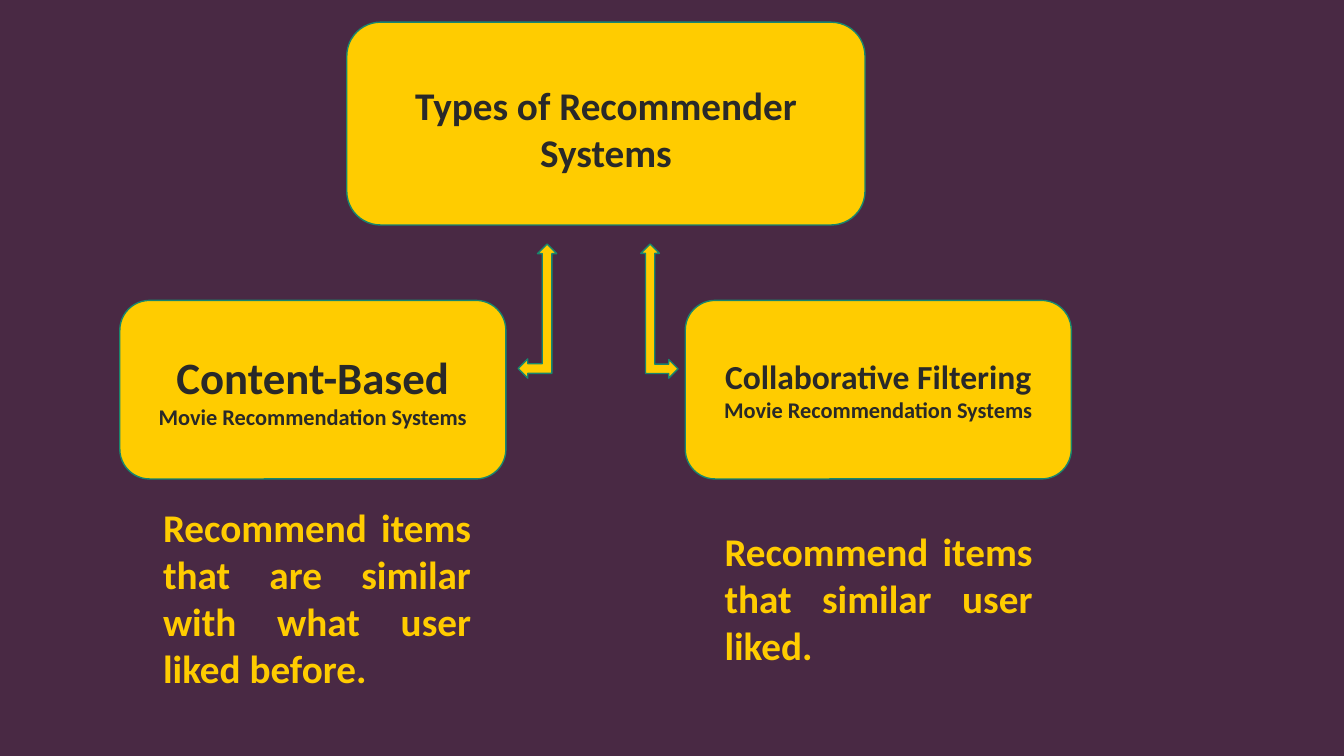
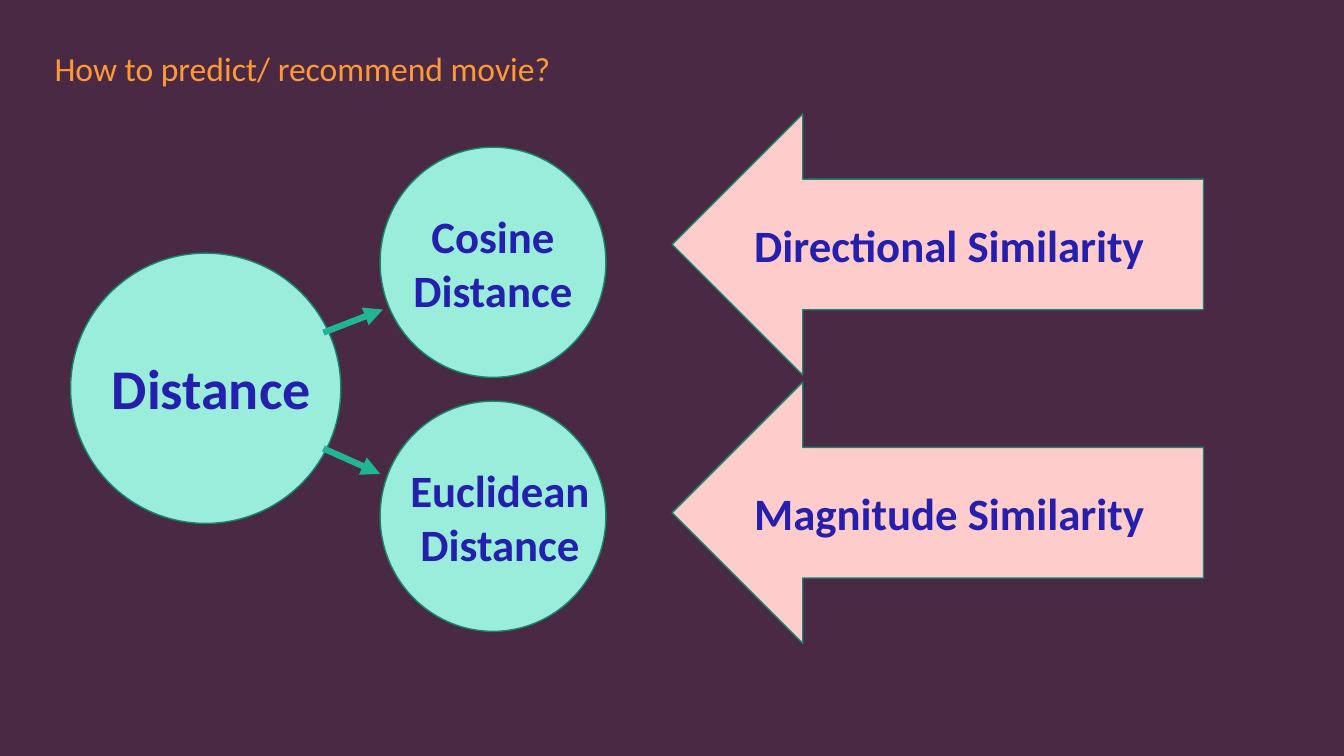
from dataclasses import dataclass

from lxml.etree import SubElement
from pptx import Presentation
from pptx.dml.color import RGBColor
from pptx.enum.shapes import MSO_CONNECTOR as Connector, MSO_SHAPE as Shape
from pptx.enum.text import MSO_ANCHOR as Anchor, MSO_AUTO_SIZE as AutoSize, PP_ALIGN as Align
from pptx.oxml.ns import qn
from pptx.util import Cm, Pt


@dataclass(frozen=True)
class Theme:
    font: str = "Calibri"
    backdrop: str = "492944"
    gold: str = "FFCC00"
    charcoal: str = "292929"
    outline: str = "18866E"
    orange: str = "FF9933"
    mint: str = "9AEDDB"
    pink: str = "FFCCCC"
    indigo: str = "241FAC"
    teal: str = "20B595"
    caption: int = 16
    subhead: int = 24
    body: int = 28
    heading: int = 32
    display: int = 40
    outline_width: float = 1
    pointer_width: float = 4.5


THEME = Theme()
TITLE_ONLY = 5


def rgb(code):
    return RGBColor.from_string(code)


def cm(*lengths):
    return [Cm(length) for length in lengths]


def write(frame, *lines, color, size=THEME.body, bold=True, align=Align.CENTER,
          anchor=Anchor.TOP, fit=AutoSize.NONE):
    frame.word_wrap = True
    frame.auto_size = fit
    frame.vertical_anchor = anchor
    for index, line in enumerate(lines):
        text, line_size = line if isinstance(line, tuple) else (line, size)
        paragraph = frame.add_paragraph() if index else frame.paragraphs[0]
        paragraph.alignment = align
        run = paragraph.add_run()
        run.text = text
        run.font.name = THEME.font
        run.font.size = Pt(line_size)
        run.font.bold = bold
        run.font.color.rgb = rgb(color)


def add_title(slide, text, box, **style):
    title = slide.shapes.title
    title.left, title.top, title.width, title.height = cm(*box)
    write(title.text_frame, text, **style)
    return title


def add_label(slide, text, box, **style):
    label = slide.shapes.add_textbox(*cm(*box))
    write(label.text_frame, text, fit=AutoSize.SHAPE_TO_FIT_TEXT, **style)


def add_figure(slide, preset, box, fill):
    figure = slide.shapes.add_shape(preset, *cm(*box))
    figure.shadow.inherit = False
    figure.fill.solid()
    figure.fill.fore_color.rgb = rgb(fill)
    figure.line.color.rgb = rgb(THEME.outline)
    figure.line.width = Pt(THEME.outline_width)
    return figure


def add_elbow(slide, box, mirrored=False):
    elbow = add_figure(slide, Shape.LEFT_UP_ARROW, box, THEME.gold)
    if mirrored:
        elbow.element.spPr.find(qn("a:xfrm")).set("flipH", "1")


def add_pointer(slide, start, end):
    pointer = slide.shapes.add_connector(Connector.STRAIGHT, *cm(*start, *end))
    pointer.line.color.rgb = rgb(THEME.teal)
    pointer.line.width = Pt(THEME.pointer_width)
    SubElement(pointer.line._get_or_add_ln(), qn("a:tailEnd"), type="triangle")
    SubElement(pointer.element.spPr, qn("a:effectLst"))


def build_types(slide):
    title = add_title(slide, "Types of Recommender Systems", (8.74, 1.93, 13.06, 2.64),
                      color=THEME.charcoal)
    title_card = add_figure(slide, Shape.ROUNDED_RECTANGLE, (8.74, 0.56, 13.06, 5.11), THEME.gold)
    title.element.addprevious(title_card.element)

    approaches = (
        (3.02, "Content-Based", THEME.heading, (3.86, 12.55, 8.26, 5.05),
         "Recommend items that are similar with what user liked before."),
        (17.27, "Collaborative Filtering", THEME.subhead, (18.01, 13.16, 8.26, 3.84),
         "Recommend items that similar user liked."),
    )
    for left, name, name_size, summary_box, summary in approaches:
        card = add_figure(slide, Shape.ROUNDED_RECTANGLE, (left, 7.57, 9.73, 4.5), THEME.gold)
        write(card.text_frame, (name, name_size),
              ("Movie Recommendation Systems", THEME.caption),
              color=THEME.charcoal, anchor=Anchor.MIDDLE)
        add_label(slide, summary, summary_box, color=THEME.gold, align=Align.JUSTIFY)

    add_elbow(slide, (13.06, 6.15, 0.97, 3.38))
    add_elbow(slide, (16.15, 6.15, 0.94, 3.38), mirrored=True)


def build_prediction(slide):
    add_title(slide, "How to predict/ recommend movie?", (1.12, 1.07, 17.58, 1.27),
              color=THEME.orange, size=THEME.subhead, bold=False, align=Align.LEFT)

    add_figure(slide, Shape.OVAL, (1.78, 6.38, 6.81, 6.81), THEME.mint)
    add_label(slide, "Distance", (2.57, 8.79, 6.05, 1.96),
              color=THEME.indigo, size=THEME.display, align=Align.LEFT)

    measures = (
        (3.71, "Cosine Distance", 9.4, 2.87, "Directional Similarity"),
        (10.11, "Euclidean Distance", 9.58, 9.63, "Magnitude Similarity"),
    )
    for circle_top, measure, label_left, arrow_top, similarity in measures:
        add_figure(slide, Shape.OVAL, (9.58, circle_top, 5.69, 5.8), THEME.mint)
        add_label(slide, measure, (label_left, circle_top + 1.42, 6.05, 3),
                  color=THEME.indigo, size=THEME.heading)
        arrow = add_figure(slide, Shape.LEFT_ARROW, (16.94, arrow_top, 13.39, 6.58), THEME.pink)
        arrow.text_frame.margin_left = Cm(0.42)
        write(arrow.text_frame, similarity, color=THEME.indigo, size=THEME.heading,
              align=Align.LEFT, anchor=Anchor.MIDDLE)

    add_pointer(slide, (8.15, 8.38), (9.65, 7.8))
    add_pointer(slide, (8.15, 11.3), (9.58, 11.94))


def main():
    deck = Presentation()
    deck.slide_width, deck.slide_height = cm(33.87, 19.05)
    backdrop = deck.slide_master.background.fill
    backdrop.solid()
    backdrop.fore_color.rgb = rgb(THEME.backdrop)
    for build in (build_types, build_prediction):
        build(deck.slides.add_slide(deck.slide_layouts[TITLE_ONLY]))
    deck.save("out.pptx")


if __name__ == "__main__":
    main()
